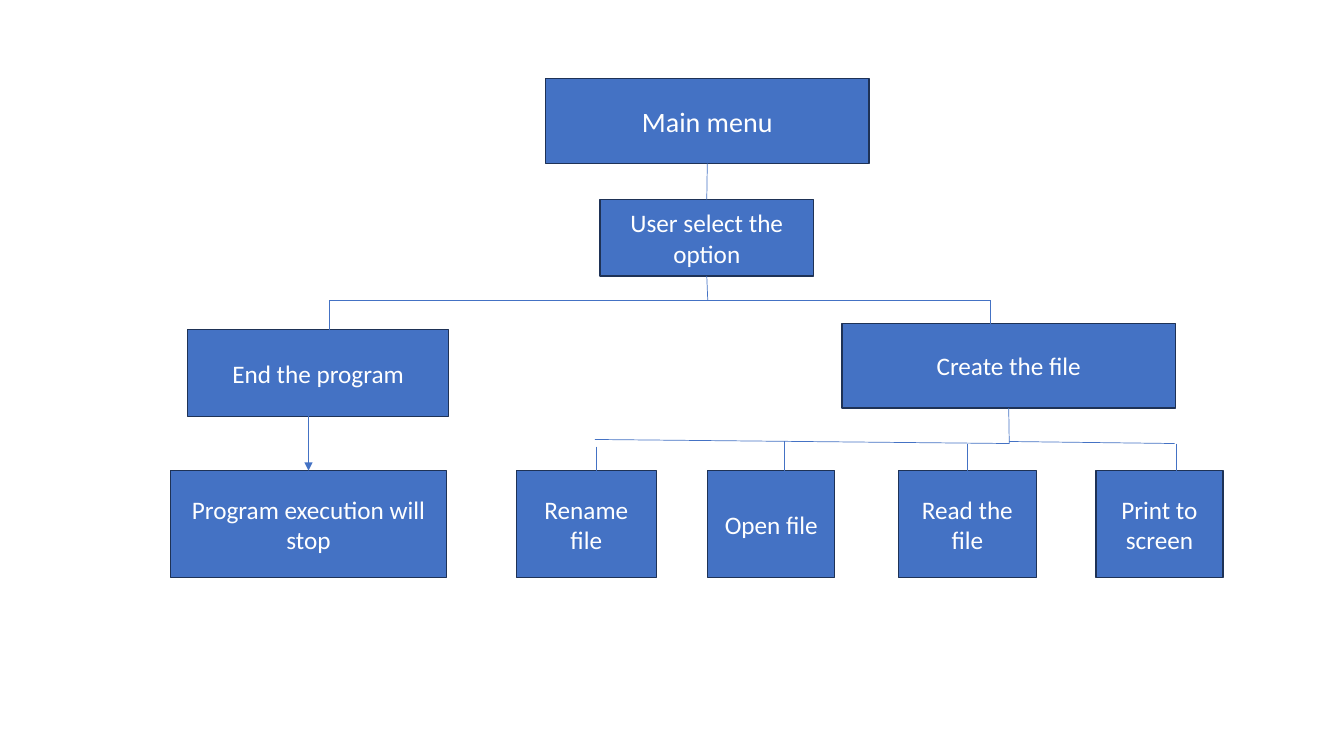
from lxml import etree
from pptx import Presentation
from pptx import util as u
from pptx.dml.color import RGBColor
from pptx.enum import shapes, text
from pptx.oxml import ns

# Grid: cells of a tenth of an inch
COLS, ROWS = 133.3, 75
CELL = u.Inches(0.1)
BLUE, NAVY, WHITE = "4472C4", "1E3256", "FFFFFF"
TOP, LEFT, BOTTOM, RIGHT = range(4)


def grid(*cells):
    return [round(n * CELL) for n in cells]


def color(code):
    return RGBColor.from_string(code)


def write(shape, words, size=18, font="Calibri", ink=WHITE):
    frame = shape.text_frame
    frame.word_wrap = True
    frame.vertical_anchor = text.MSO_ANCHOR.MIDDLE
    para = frame.paragraphs[0]
    para.alignment = text.PP_ALIGN.CENTER
    run = para.add_run()
    run.text = words
    run.font.size = u.Pt(size)
    run.font.name = font
    run.font.color.rgb = color(ink)


def box(slide, words, left, top, width, height, **style):
    shape = slide.shapes.add_shape(
        shapes.MSO_SHAPE.RECTANGLE, *grid(left, top, width, height))
    shape.shadow.inherit = False
    shape.fill.solid()
    shape.fill.fore_color.rgb = color(BLUE)
    shape.line.color.rgb = color(NAVY)
    shape.line.width = u.Pt(1)
    write(shape, words, **style)
    return shape


def link(slide, start, end, source=None, target=None, arrow=False):
    line = slide.shapes.add_connector(
        shapes.MSO_CONNECTOR.STRAIGHT, *grid(*start, *end))
    line.line.color.rgb = color(BLUE)
    line.line.width = u.Pt(0.5)
    if source is not None:
        line.begin_connect(source, BOTTOM)
    if target is not None:
        line.end_connect(target, TOP)
    if arrow:
        etree.SubElement(line.line._get_or_add_ln(),
                         ns.qn("a:tailEnd"), type="triangle")
    etree.SubElement(line._element.spPr, ns.qn("a:effectLst"))


def main():
    deck = Presentation()
    deck.slide_width, deck.slide_height = grid(COLS, ROWS)
    slide = deck.slides.add_slide(deck.slide_layouts[6])

    # Menu and choice
    menu = box(slide, "Main menu", 54.1, 7.8, 32.1, 8.4, size=20)
    choice = box(slide, "User select the option", 59.5, 19.8, 21.2, 7.6)

    # Two branches
    box(slide, "End the program", 18.6, 32.7, 25.9, 8.6)
    create = box(slide, "Create the file", 83.5, 32.1, 33.1, 8.4)

    # Bottom row
    floor, tall = 46.7, 10.6
    stop = box(slide, "Program execution will stop", 16.9, floor, 27.4, tall)
    tasks = [("Rename file", 51.2, 13.9), ("Open file", 70.2, 12.6),
             ("Read the file", 89.1, 13.7), ("Print to screen", 108.7, 12.6)]
    for words, left, width in tasks:
        box(slide, words, left, floor, width, tall)

    # Lines from the menu to the branches
    mid, bar = 70.2, 29.8
    link(slide, (mid, 16.2), (mid, 19.8), menu, choice)
    link(slide, (mid, 27.4), (mid, bar), choice)
    for side, top in [(32.7, 32.7), (98.2, 32.1)]:
        link(slide, (mid, bar), (side, bar))
        link(slide, (side, bar), (side, top))
    link(slide, (30.6, 41.3), (30.6, floor), target=stop, arrow=True)

    # Lines from the file to its tasks
    stem, rail = 100.1, 44
    link(slide, (stem, 40.5), (stem, rail), create)
    link(slide, (stem, rail), (59, 43.6))
    link(slide, (stem, 43.8), (116.5, rail))
    for drop, top in [(59.2, 44.3), (77.8, 43.8), (95.9, rail), (116.7, rail)]:
        link(slide, (drop, top), (drop, floor))

    deck.save("out.pptx")


if __name__ == "__main__":
    main()
